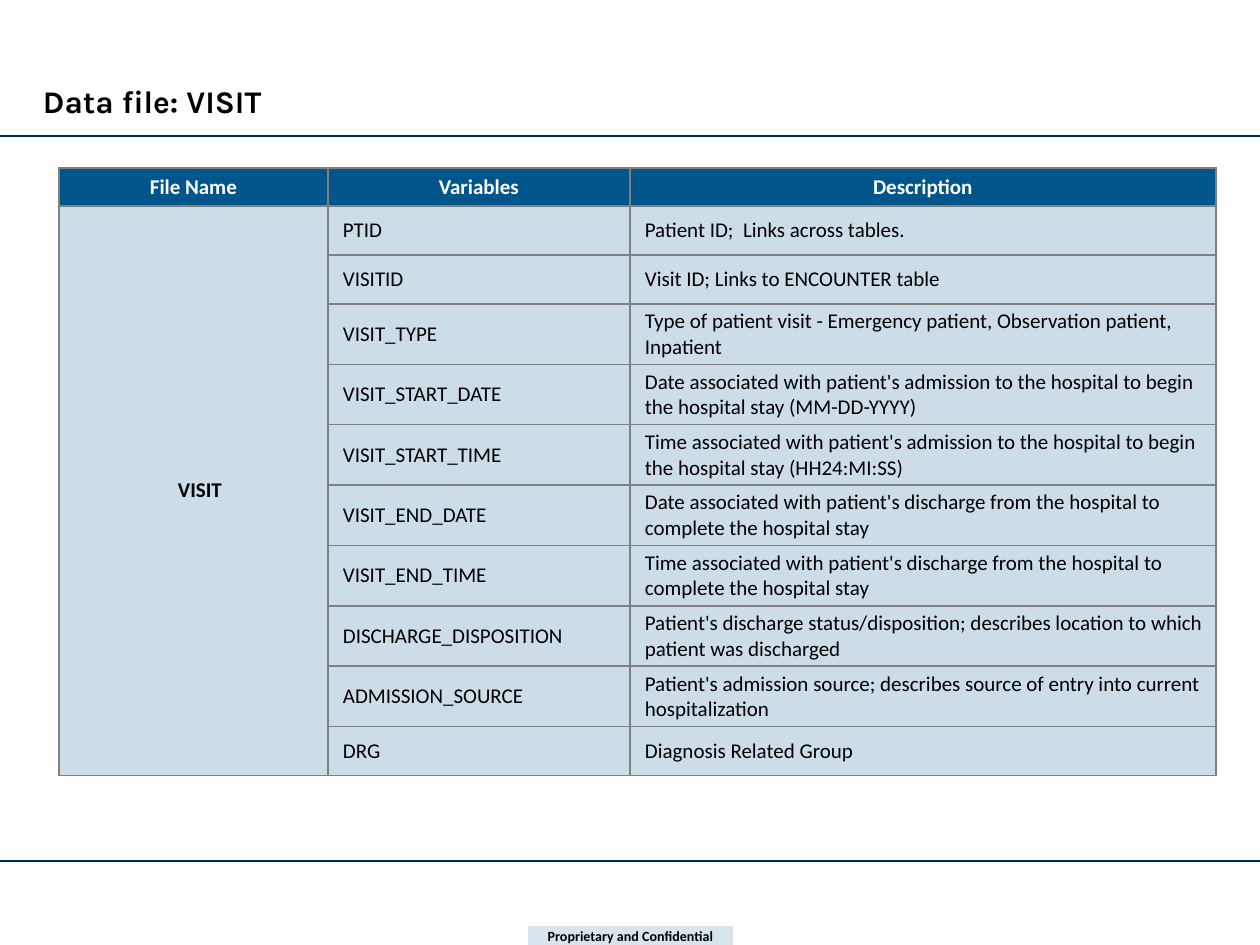
from typing import NamedTuple

from lxml import etree
from pptx import Presentation
from pptx.dml.color import RGBColor
from pptx.enum.shapes import MSO_CONNECTOR, MSO_SHAPE
from pptx.enum.text import MSO_ANCHOR, PP_ALIGN
from pptx.oxml.ns import qn
from pptx.util import Emu, Pt

LINE = MSO_CONNECTOR.STRAIGHT
RECT = MSO_SHAPE.RECTANGLE
MID, LOW = MSO_ANCHOR.MIDDLE, MSO_ANCHOR.BOTTOM
LEFT, MIDST = PP_ALIGN.LEFT, PP_ALIGN.CENTER

SCALE = 914400 / 126
WIDE, HIGH = 1260, 945
BLUE, NAVY, GRAY = "00558A", "002864", "808080"
BLACK, WHITE = "000000", "FFFFFF"


class Look(NamedTuple):
    size: int = 12
    color: str = BLACK
    bold: bool = False
    align: int = LEFT
    anchor: int = MID
    pad: tuple = (0, 0, 0, 0)  # left, top, right, bottom
    font: str = "Calibri"


class Field(NamedTuple):
    name: str
    text: str


TITLE = Look(18, bold=True, anchor=LOW, pad=(13, 6, 13, 6), font="Karla")
FOOT = Look(8, bold=True, align=MIDST, pad=(1, 1, 1, 1))
HEAD = Look(color=WHITE, bold=True, align=MIDST)
GROUP = Look(bold=True, align=MIDST, pad=(13, 0, 0, 0))
BODY = Look(pad=(15, 5, 0, 5))

HEADS = ("File Name", "Variables", "Description")
COLS = (269, 302, 586)
TOP_ROW, ROW = 38, 49
FIELDS = (
    Field("PTID", "Patient ID;  Links across tables."),
    Field("VISITID", "Visit ID; Links to ENCOUNTER table"),
    Field("VISIT_TYPE", "Type of patient visit - Emergency patient, "
          "Observation patient, Inpatient"),
    Field("VISIT_START_DATE", "Date associated with patient's admission to "
          "the hospital to begin the hospital stay (MM-DD-YYYY)"),
    Field("VISIT_START_TIME", "Time associated with patient's admission to "
          "the hospital to begin the hospital stay (HH24:MI:SS)"),
    Field("VISIT_END_DATE", "Date associated with patient's discharge from "
          "the hospital to complete the hospital stay"),
    Field("VISIT_END_TIME", "Time associated with patient's discharge from "
          "the hospital to complete the hospital stay"),
    Field("DISCHARGE_DISPOSITION", "Patient's discharge status/disposition; "
          "describes location to which patient was discharged"),
    Field("ADMISSION_SOURCE", "Patient's admission source; describes source "
          "of entry into current hospitalization"),
    Field("DRG", "Diagnosis Related Group"),
)


def px(num: int) -> Emu:
    return Emu(round(num * SCALE))


def rgb(code: str) -> RGBColor:
    return RGBColor.from_string(code)


def tint(fill, code: str, part: int = 100) -> None:
    """Fill with a colour at the given percent of opacity."""
    fill.solid()
    fill.fore_color.rgb = rgb(code)
    if part < 100:
        node = fill._xPr.find(".//" + qn("a:srgbClr"))
        etree.SubElement(node, qn("a:alpha"), val=str(part * 1000))


def write(frame, box, text: str, look: Look) -> None:
    """Put text in a frame; box holds its margins and anchor."""
    sides = ("margin_left", "margin_top", "margin_right", "margin_bottom")
    for side, pad in zip(sides, look.pad):
        setattr(box, side, px(pad))
    box.vertical_anchor = look.anchor
    frame.word_wrap = True
    para = frame.paragraphs[0]
    para.text, para.alignment = text, look.align
    font = para.font
    font.name, font.size, font.bold = look.font, Pt(look.size), look.bold
    font.color.rgb = rgb(look.color)


def edge(cell) -> None:
    """Draw all four borders; they come before the fill."""
    props = cell._tc.get_or_add_tcPr()
    for spot, side in enumerate(("lnL", "lnR", "lnT", "lnB")):
        line = etree.Element(qn("a:" + side), w=str(Pt(1)))
        fill = etree.SubElement(line, qn("a:solidFill"))
        etree.SubElement(fill, qn("a:srgbClr"), val=GRAY)
        props.insert(spot, line)


def put(cell, text: str, look: Look) -> None:
    write(cell.text_frame, cell, text, look)


def rule(slide, top: int) -> None:
    line = slide.shapes.add_connector(LINE, 0, px(top), px(WIDE), px(top))
    line.line.color.rgb = rgb(NAVY)
    line.line.width = Pt(0.75)
    etree.SubElement(line._element.spPr, qn("a:effectLst"))


def grid(slide, left: int, top: int) -> None:
    count = len(FIELDS) + 1
    tall = TOP_ROW + ROW * len(FIELDS)
    table = slide.shapes.add_table(count, len(COLS), px(left), px(top),
                                   px(sum(COLS)), px(tall)).table
    for col, wide in zip(table.columns, COLS):
        col.width = px(wide)
    for num, row in enumerate(table.rows):
        row.height = px(ROW if num else TOP_ROW)
        for cell in row.cells:
            tint(cell.fill, BLUE, 20 if num else 100)
            edge(cell)

    for num, head in enumerate(HEADS):
        put(table.cell(0, num), head, HEAD)
    table.cell(1, 0).merge(table.cell(count - 1, 0))
    put(table.cell(1, 0), "VISIT", GROUP)
    for num, field in enumerate(FIELDS, 1):
        put(table.cell(num, 1), field.name, BODY)
        put(table.cell(num, 2), field.text, BODY)


def main() -> None:
    deck = Presentation()
    deck.slide_width, deck.slide_height = px(WIDE), px(HIGH)
    slide = deck.slides.add_slide(deck.slide_layouts[6])

    # Rules
    for top in (861, 136):
        rule(slide, top)

    # Footer label
    foot = slide.shapes.add_shape(RECT, px(528), px(926), px(205), px(19))
    foot.shadow.inherit = False
    tint(foot.fill, BLUE, 15)
    foot.line.fill.background()
    write(foot.text_frame, foot.text_frame, "Proprietary and Confidential",
          FOOT)

    # Title
    title = slide.shapes.add_textbox(px(30), px(76), px(1197), px(50))
    write(title.text_frame, title.text_frame, "Data file: VISIT", TITLE)

    # Table of variables
    grid(slide, 59, 168)

    deck.save("out.pptx")


if __name__ == "__main__":
    main()
